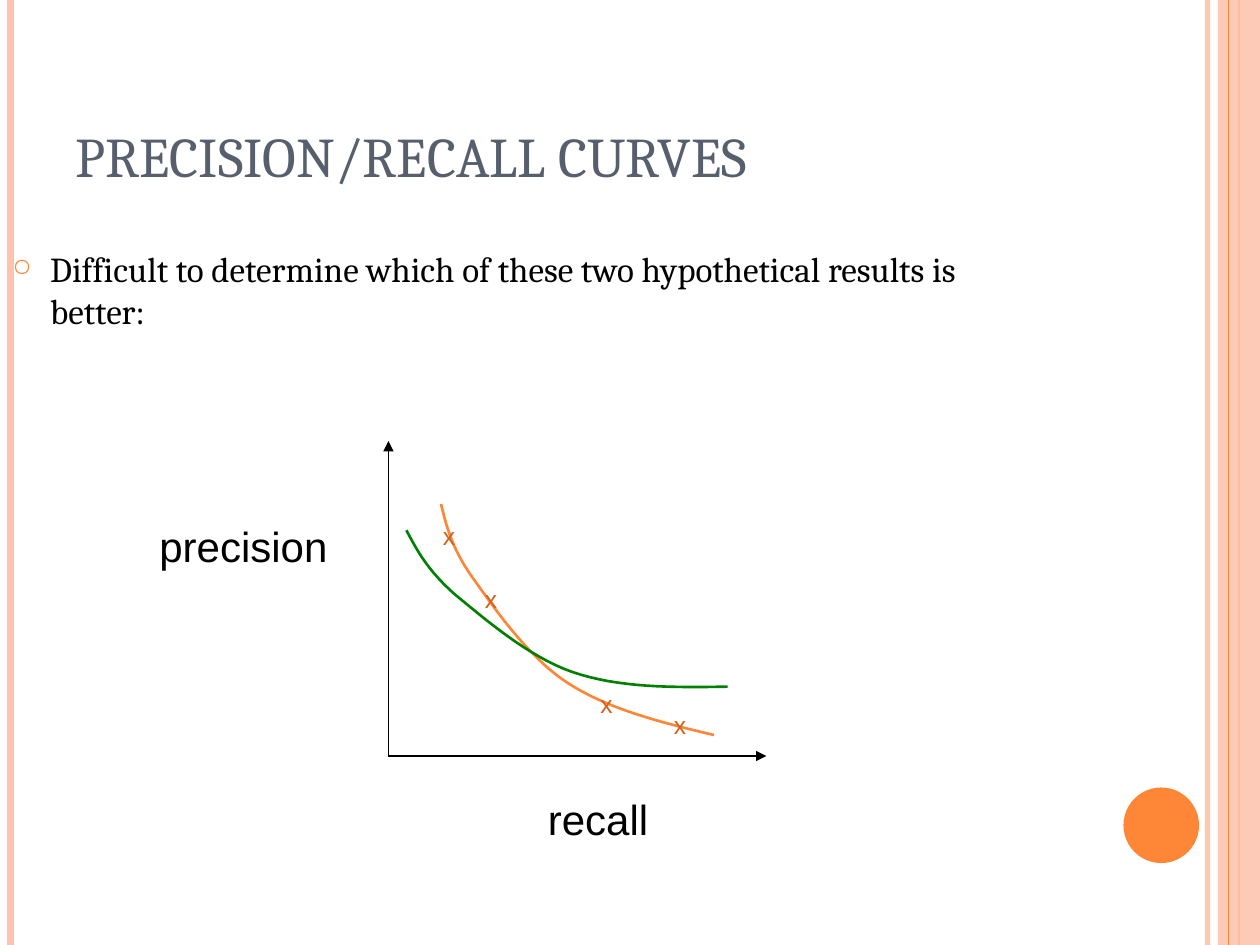
from typing import NamedTuple

from lxml.etree import SubElement
from pptx import Presentation
from pptx.dml.color import RGBColor
from pptx.enum.shapes import MSO_CONNECTOR, MSO_SHAPE
from pptx.enum.text import MSO_ANCHOR as Anchor, MSO_AUTO_SIZE as AutoSize
from pptx.oxml.ns import qn
from pptx.util import Emu, Pt

PX = 7620  # 120 px to the inch
WIDTH, HEIGHT = 1200, 900
CURVE_STEPS = 16

ORANGE = RGBColor(0xFE, 0x86, 0x37)
PEACH = RGBColor(0xFE, 0xC3, 0xAE)
RUST = RGBColor(0xD2, 0x61, 0x1C)
GREEN = RGBColor(0x00, 0x80, 0x00)
SLATE = RGBColor(0x57, 0x5F, 0x6D)
BLACK = RGBColor(0x00, 0x00, 0x00)

Point = tuple[int, int]


class Line(NamedTuple):
    start: Point
    end: Point
    color: RGBColor
    weight: float
    opacity: int = 100
    arrow: bool = False


class Curve(NamedTuple):
    """A chain of cubic Béziers: a start, then three points for each piece."""
    points: list[Point]
    color: RGBColor


def stripe(x: int, color: RGBColor, weight: float, opacity: int = 100) -> Line:
    return Line((x, 0), (x, HEIGHT), color, weight, opacity)


BACK_STRIPES = [stripe(1150, PEACH, 3, 93), stripe(10, PEACH, 4.5), stripe(1180, ORANGE, 1.5)]
BAND_STRIPE = stripe(1170, ORANGE, 0.75)

ORIGIN = (370, 720)
AXES = [
    Line(ORIGIN, (370, 420), BLACK, 1, arrow=True),
    Line(ORIGIN, (730, 720), BLACK, 1, arrow=True),
]
CURVES = [
    Curve([(420, 480), (425, 500), (430, 522), (450, 550), (470, 578),
           (502, 625), (540, 650), (578, 675), (629, 688), (680, 700)], ORANGE),
    Curve([(387, 505), (397, 524), (407, 543), (433, 566), (460, 588),
           (502, 625), (545, 640), (588, 655), (641, 655), (693, 654)], GREEN),
]
MARKERS = [(560, 650), (410, 490), (450, 550), (630, 670)]


def set_opacity(fill, percent: int) -> None:
    if percent < 100:
        color = fill._xPr.find(qn("a:solidFill"))[0]
        SubElement(color, qn("a:alpha"), val=str(percent * 1000))


def draw_line(page, line: Line) -> None:
    x1, y1, x2, y2 = (Emu(value * PX) for value in line.start + line.end)
    connector = page.shapes.add_connector(MSO_CONNECTOR.STRAIGHT, x1, y1, x2, y2)
    connector.line.color.rgb = line.color
    connector.line.width = Pt(line.weight)
    set_opacity(connector.line.fill, line.opacity)
    if line.arrow:
        SubElement(connector.line._get_or_add_ln(), qn("a:tailEnd"), type="triangle")
    SubElement(connector._element.spPr, qn("a:effectLst"))


def draw_solid(page, kind: MSO_SHAPE, left: int, top: int, width: int, height: int,
               color: RGBColor, opacity: int = 100) -> None:
    shape = page.shapes.add_shape(kind, *(Emu(v * PX) for v in (left, top, width, height)))
    shape.shadow.inherit = False
    shape.fill.solid()
    shape.fill.fore_color.rgb = color
    set_opacity(shape.fill, opacity)
    shape.line.fill.background()


def bezier(controls: list[Point], t: float) -> Point:
    """Point in EMU at t on one cubic Bézier."""
    weights = ((1 - t) ** 3, 3 * t * (1 - t) ** 2, 3 * t * t * (1 - t), t ** 3)
    x, y = (round(PX * sum(w * value for w, value in zip(weights, axis)))
            for axis in zip(*controls))
    return x, y


def draw_curve(page, curve: Curve) -> None:
    pieces = [curve.points[i:i + 4] for i in range(0, len(curve.points) - 1, 3)]
    vertices = [bezier(piece, step / CURVE_STEPS)
                for piece in pieces for step in range(1, CURVE_STEPS + 1)]
    x, y = curve.points[0]
    builder = page.shapes.build_freeform(x * PX, y * PX)
    builder.add_line_segments(vertices, close=False)
    shape = builder.convert_to_shape()
    shape.shadow.inherit = False
    shape.fill.background()
    shape.line.color.rgb = curve.color
    shape.line.width = Pt(1.5)


def add_text(page, text: str, left: int, top: int, width: int, height: int, *, size: int,
             font: str = "Arial", color: RGBColor = BLACK, wrap: bool = False,
             anchor: Anchor = Anchor.TOP, bullet: bool = False) -> None:
    box = page.shapes.add_textbox(*(Emu(v * PX) for v in (left, top, width, height)))
    frame = box.text_frame
    frame.word_wrap = wrap
    frame.auto_size = AutoSize.NONE if wrap else AutoSize.SHAPE_TO_FIT_TEXT
    frame.vertical_anchor = anchor
    para = frame.paragraphs[0]
    if bullet:
        add_bullet(para)
    span = para.add_run()
    span.text = text
    span.font.size = Pt(size)
    span.font.name = font
    span.font.color.rgb = color


def add_bullet(para) -> None:
    properties = para._p.get_or_add_pPr()
    indent = 36 * PX
    properties.set("marL", str(indent))
    properties.set("indent", str(-indent))
    color = SubElement(properties, qn("a:buClr"))
    SubElement(color, qn("a:srgbClr"), val=str(ORANGE))
    SubElement(properties, qn("a:buSzPct"), val="70000")
    SubElement(properties, qn("a:buChar"), char="○")


def draw_frame(page) -> None:
    for line in BACK_STRIPES:
        draw_line(page, line)
    draw_solid(page, MSO_SHAPE.RECTANGLE, 1160, 0, 40, HEIGHT, PEACH, opacity=87)
    draw_line(page, BAND_STRIPE)
    draw_solid(page, MSO_SHAPE.OVAL, 1070, 750, 72, 72, ORANGE)


def draw_plot(page) -> None:
    for axis in AXES:
        draw_line(page, axis)
    for curve in CURVES:
        draw_curve(page, curve)
    add_text(page, "precision", 140, 490, 184, 60, size=24)
    add_text(page, "recall", 510, 750, 121, 60, size=24)
    for left, top in MARKERS:
        add_text(page, "x", left, top, 36, 41, size=14, color=RUST)


def main() -> None:
    deck = Presentation()
    deck.slide_width, deck.slide_height = Emu(WIDTH * PX), Emu(HEIGHT * PX)
    page = deck.slides.add_slide(deck.slide_layouts[6])
    draw_frame(page)
    add_text(page, "PRECISION/RECALL CURVES", 60, 36, 980, 150, size=32, font="Cambria",
             color=SLATE, wrap=True, anchor=Anchor.BOTTOM)
    add_text(page, "Difficult to determine which of these two hypothetical results is better:",
             0, 230, 1020, 540, size=20, font="Cambria", wrap=True, bullet=True)
    draw_plot(page)
    deck.save("out.pptx")


if __name__ == "__main__":
    main()
